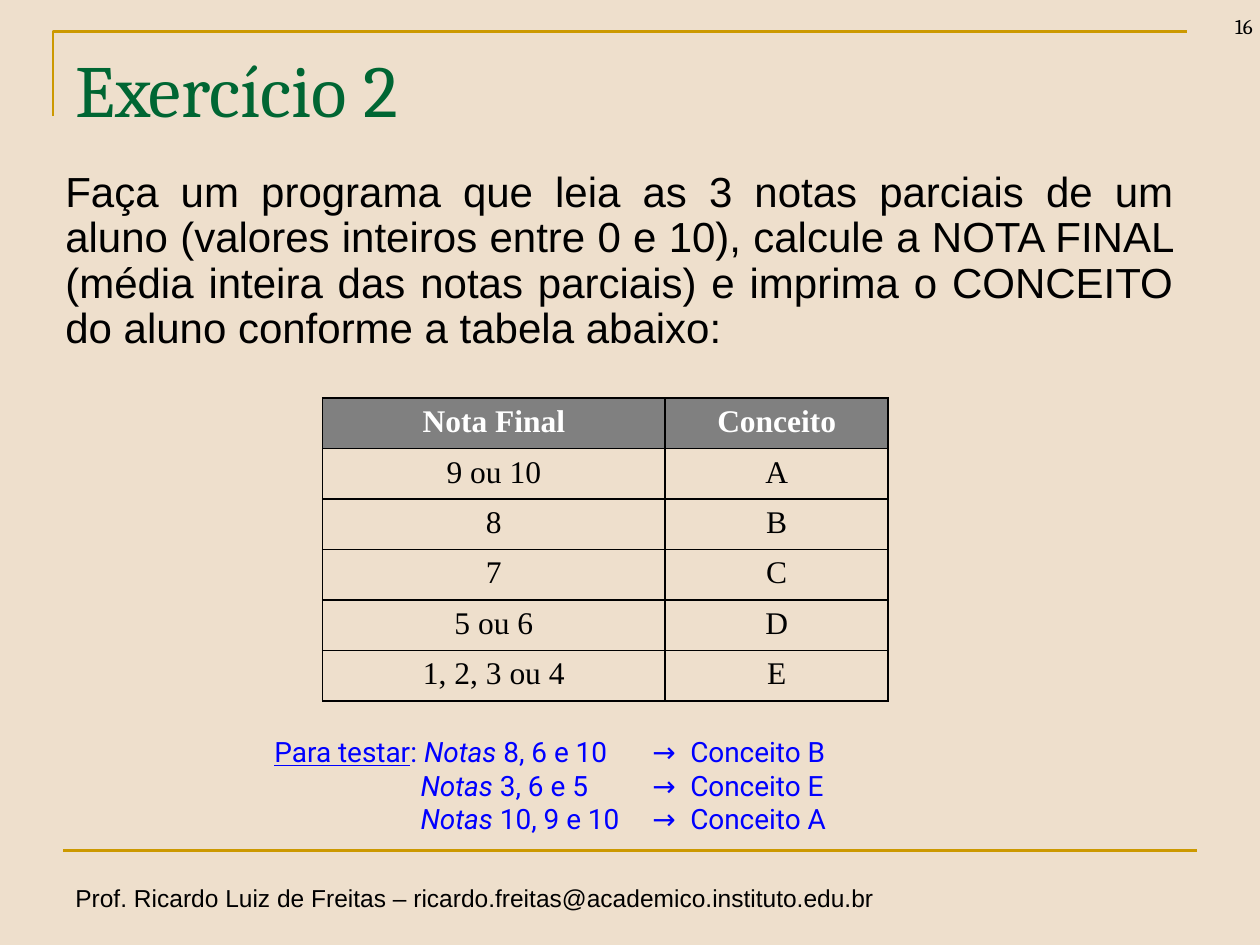
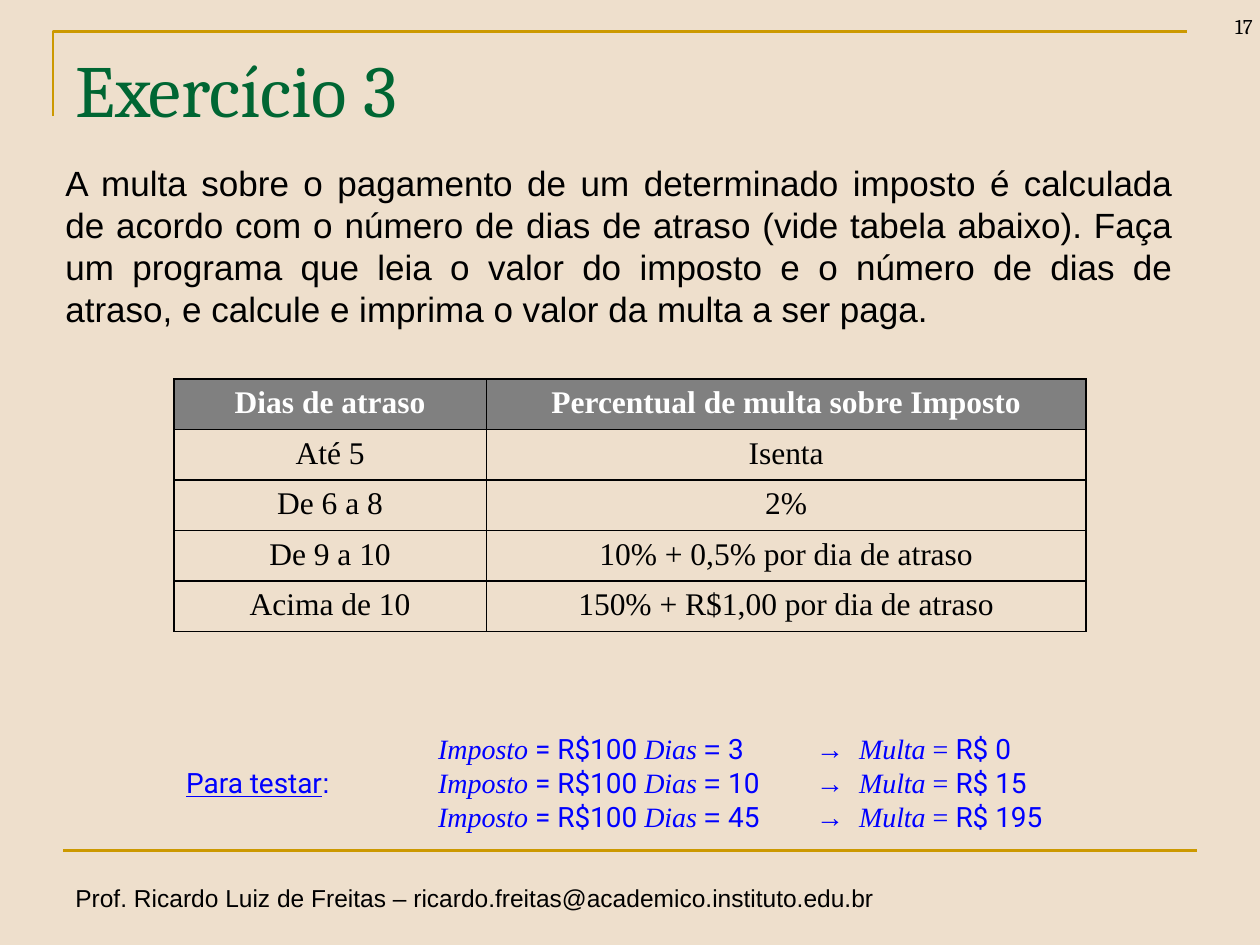
from lxml.etree import SubElement
from pptx import Presentation
from pptx.dml.color import RGBColor
from pptx.enum.shapes import MSO_CONNECTOR
from pptx.enum.text import MSO_ANCHOR as Anchor, PP_ALIGN as Align
from pptx.oxml.ns import qn
from pptx.util import Inches, Pt

# Shared style
SAND = RGBColor(0xEE, 0xDF, 0xCC)
GOLD = RGBColor(0xCC, 0x99, 0x00)
GREEN = RGBColor(0x00, 0x66, 0x33)
BLUE = RGBColor(0x00, 0x00, 0xFF)
GRAY = RGBColor(0x80, 0x80, 0x80)
BLACK = RGBColor(0x00, 0x00, 0x00)
WHITE = RGBColor(0xFF, 0xFF, 0xFF)
SANS, TITLE, TEST, SERIF = "Arial", "Cambria", "Roboto", "Times New Roman"
FOOTER = "Prof. Ricardo Luiz de Freitas – ricardo.freitas@academico.instituto.edu.br"
ROW_HEIGHT = 0.4


class ExerciseDeck:
    def __init__(self):
        self.deck = Presentation()
        self.deck.slide_width, self.deck.slide_height = Inches(10), Inches(7.5)
        self.page = None

    def add_page(self, number, title):
        """Start a page with its background, rules, footer, title and number."""
        self.page = self.deck.slides.add_slide(self.deck.slide_layouts[6])
        background = self.page.background.fill
        background.solid()
        background.fore_color.rgb = SAND
        self.add_text((0.5, 6.96, 6.86, 0.34), FOOTER, SANS, 14, wrap=False)
        self.add_corner()
        self.add_rule(0.5, 9.5, 6.75)
        self.add_text((0.5, 0.3, 9, 1.25), title, TITLE, 42, GREEN)
        self.add_text((9.29, -0.14, 0.75, 0.5), str(number), TITLE, 12,
                      align=Align.RIGHT, anchor=Anchor.BOTTOM)

    def add_corner(self):
        builder = self.page.shapes.build_freeform(Inches(0.42), Inches(0.92))
        builder.add_line_segments(
            [(Inches(0.42), Inches(0.25)), (Inches(9.42), Inches(0.25))], close=False)
        corner = builder.convert_to_shape()
        corner.shadow.inherit = False
        corner.fill.background()
        self.style_line(corner.line)

    def add_rule(self, left, right, top):
        rule = self.page.shapes.add_connector(
            MSO_CONNECTOR.STRAIGHT, Inches(left), Inches(top), Inches(right), Inches(top))
        self.style_line(rule.line)
        SubElement(rule._element.spPr, qn("a:effectLst"))

    def style_line(self, line):
        line.color.rgb = GOLD
        line.width = Pt(1.5)

    def style_font(self, font, name, size, color, bold=False):
        font.name, font.size, font.bold = name, Pt(size), bold
        font.color.rgb = color

    def add_frame(self, place, wrap=True, anchor=Anchor.TOP):
        box = self.page.shapes.add_textbox(*(Inches(length) for length in place))
        frame = box.text_frame
        frame.word_wrap, frame.vertical_anchor = wrap, anchor
        return frame

    def add_text(self, place, text, font, size, color=BLACK, align=Align.LEFT,
                 anchor=Anchor.TOP, wrap=True):
        para = self.add_frame(place, wrap, anchor).paragraphs[0]
        para.text, para.alignment = text, align
        self.style_font(para.font, font, size, color)
        return para

    def add_statement(self, place, text, size, line_spacing=1.0):
        para = self.add_text(place, text, SANS, size, align=Align.JUSTIFY)
        para.line_spacing = line_spacing
        para.space_before = Pt(size * 0.2)

    def add_tests(self, place, lines, stops):
        """Each line is a list of (text, font, style); style is "", "i" or "u"."""
        frame = self.add_frame(place)
        for index, spans in enumerate(lines):
            para = frame.add_paragraph() if index else frame.paragraphs[0]
            tabs = SubElement(para._p.get_or_add_pPr(), qn("a:tabLst"))
            for stop in stops:
                SubElement(tabs, qn("a:tab"), pos=str(Inches(stop)), algn="l")
            para.font.size = Pt(16)
            para.font.color.rgb = BLUE
            for text, font, style in spans:
                span = para.add_run()
                span.text, span.font.name = text, font
                span.font.italic = style == "i"
                span.font.underline = style == "u"

    def add_table(self, left, top, widths, rows):
        table = self.page.shapes.add_table(
            len(rows), len(widths), Inches(left), Inches(top),
            Inches(sum(widths)), Inches(ROW_HEIGHT * len(rows))).table
        table.first_row = table.horz_banding = False
        for column, width in zip(table.columns, widths):
            column.width = Inches(width)
        for row_index, row in enumerate(rows):
            table.rows[row_index].height = Inches(ROW_HEIGHT)
            for column_index, text in enumerate(row):
                self.fill_cell(table.cell(row_index, column_index), text, row_index == 0)

    def fill_cell(self, cell, text, header):
        para = cell.text_frame.paragraphs[0]
        para.text, para.alignment = text, Align.CENTER
        self.style_font(para.font, SERIF, 18, WHITE if header else BLACK, header)
        # Borders come before the fill in the cell properties
        properties = cell._tc.get_or_add_tcPr()
        for side in ("lnL", "lnR", "lnT", "lnB"):
            border = SubElement(properties, qn(f"a:{side}"), w=str(Pt(1)))
            paint = SubElement(border, qn("a:solidFill"))
            SubElement(paint, qn("a:srgbClr"), val=str(BLACK))
        if header:
            cell.fill.solid()
            cell.fill.fore_color.rgb = GRAY
        else:
            cell.fill.background()


def grade_test(grades, concept, lead):
    return lead + [("Notas", TEST, "i"), (f" {grades}\t→\tConceito {concept}", TEST, "")]


def fine_test(days, fine, lead):
    return lead + [
        ("Imposto", SERIF, "i"), (" = R$100 ", TEST, ""),
        ("Dias ", SERIF, "i"), ("= ", SANS, ""), (f"{days}\t", TEST, ""),
        ("→\t", SANS, ""), ("Multa", SERIF, "i"), (" = ", SERIF, ""),
        (f"R$ {fine}", TEST, "")]


show = ExerciseDeck()
label = ("Para testar", TEST, "u")

# Exercise 2: final grade
show.add_page(16, "Exercício 2")
show.add_table(2.56, 3.16, (2.72, 1.77), [
    ("Nota Final", "Conceito"), ("9 ou 10", "A"), ("8", "B"),
    ("7", "C"), ("5 ou 6", "D"), ("1, 2, 3 ou 4", "E")])
show.add_statement(
    (0.42, 1.31, 8.99, 1.57),
    "Faça um programa que leia as 3 notas parciais de um aluno (valores inteiros "
    "entre 0 e 10), calcule a NOTA FINAL (média inteira das notas parciais) e "
    "imprima o CONCEITO do aluno conforme a tabela abaixo:", 24, 0.9)
indent = [("\t", TEST, "")]
show.add_tests((2.08, 5.78, 5.65, 0.91), [
    grade_test("8, 6 e 10", "B", [label, (": ", TEST, "")]),
    grade_test("3, 6 e 5", "E", indent),
    grade_test("10, 9 e 10", "A", indent)], (1.16, 3, 3.3))

# Exercise 3: late payment fine
show.add_page(17, "Exercício 3")
show.add_table(1.38, 3.01, (2.48, 4.76), [
    ("Dias de atraso", "Percentual de multa sobre Imposto"),
    ("Até 5", "Isenta"), ("De 6 a 8", "2%"),
    ("De 9 a 10", "10% + 0,5% por dia de atraso"),
    ("Acima de 10", "150% + R$1,00 por dia de atraso")])
show.add_statement(
    (0.42, 1.23, 8.99, 1.49),
    "A multa sobre o pagamento de um determinado imposto é calculada de acordo com "
    "o número de dias de atraso (vide tabela abaixo). Faça um programa que leia o "
    "valor do imposto e o número de dias de atraso, e calcule e imprima o valor da "
    "multa a ser paga.", 20)
indent = [("\t", SANS, "")]
show.add_tests((1.38, 5.76, 7.24, 0.9), [
    fine_test(3, 0, indent),
    fine_test(10, 15, [label, (":\t", SANS, "")]),
    fine_test(45, 195, indent)], (2, 5, 5.34))

show.deck.save("out.pptx")
